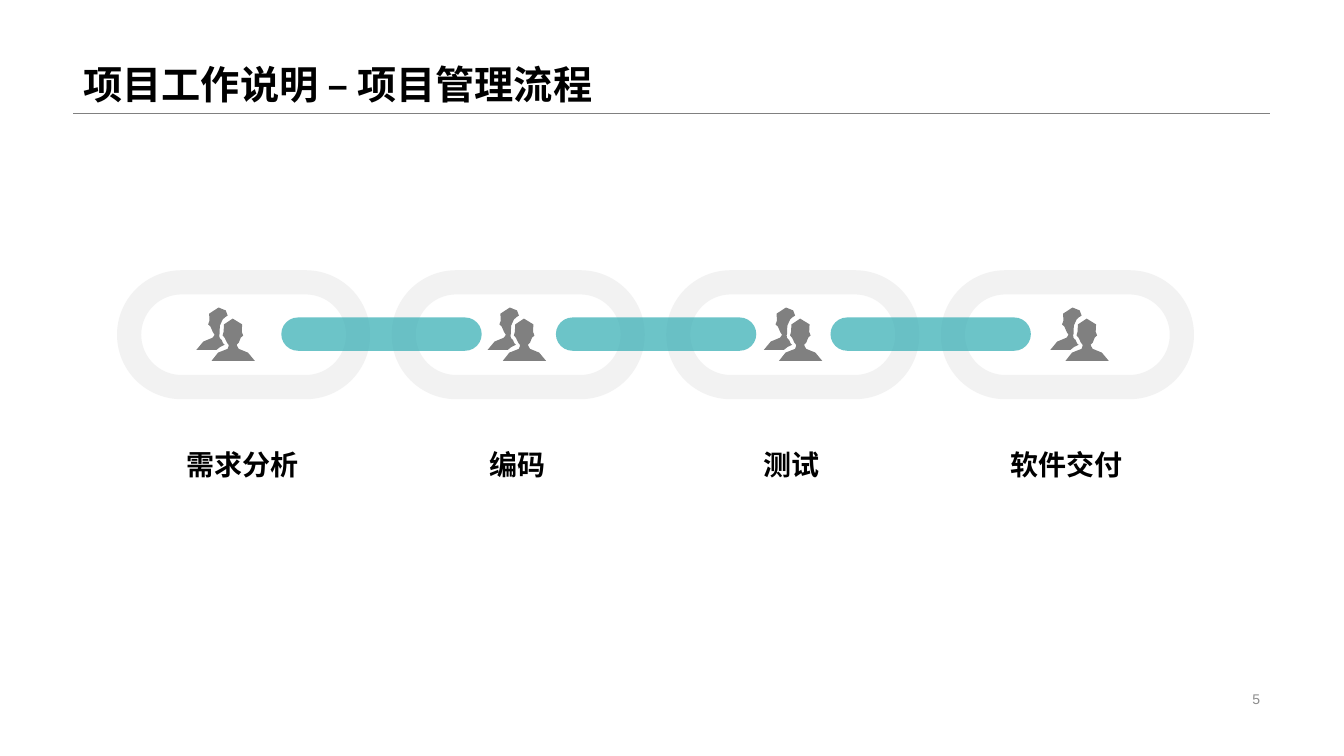
from lxml import etree
from pptx import Presentation
from pptx.dml.color import RGBColor
from pptx.enum.shapes import MSO_CONNECTOR, MSO_SHAPE
from pptx.enum.text import MSO_ANCHOR, MSO_AUTO_SIZE, PP_ALIGN
from pptx.oxml.ns import qn
from pptx.util import Cm, Pt

LINE = MSO_CONNECTOR.STRAIGHT
PILL = MSO_SHAPE.ROUNDED_RECTANGLE
BOTTOM, MIDDLE = MSO_ANCHOR.BOTTOM, MSO_ANCHOR.MIDDLE
LEFT, CENTER, RIGHT = PP_ALIGN.LEFT, PP_ALIGN.CENTER, PP_ALIGN.RIGHT
FIXED = MSO_AUTO_SIZE.NONE
COLORS = {k: RGBColor.from_string(v) for k, v in {
    "text": "000000", "page": "8C8C8C", "rule": "808080",
    "ring": "F2F2F2", "bar": "2FACB2", "icon": "808080"}.items()}

STEPS = ["需求分析", "编码", "测试", "软件交付"]
PITCH = 6.92
RING_X, RING_Y, RING_W, RING_H, RING_T = 2.95, 6.81, 6.38, 3.25, 0.61
ICON_X, ICON_Y = [4.95, 12.29, 19.25, 26.47], 7.75
UNIT = Cm(0.0254)

# Each person: a start point, then Bezier curves, in hundredths of an inch
PEOPLE = [
    ((42, 41), [
        (41, 40, 40, 37, 40, 37), (40, 37, 44, 34, 44, 30),
        (46, 30, 48, 26, 45, 24), (46, 22, 48, 11, 36, 11),
        (25, 11, 27, 22, 27, 24), (25, 26, 26, 30, 28, 30),
        (29, 34, 32, 37, 32, 37), (32, 37, 32, 40, 31, 41),
        (27, 41, 15, 47, 15, 53), (15, 53, 58, 53, 58, 53),
        (58, 47, 45, 41, 42, 41)]),
    ((20, 42), [
        (22, 40, 25, 38, 28, 37), (27, 37, 26, 35, 25, 32),
        (24, 32, 24, 31, 23, 30), (23, 28, 22, 27, 23, 26),
        (23, 25, 23, 24, 23, 23), (23, 21, 23, 15, 26, 12),
        (28, 10, 29, 9, 31, 8), (31, 5, 29, 0, 22, 0),
        (10, 0, 12, 12, 13, 13), (10, 15, 12, 19, 14, 19),
        (15, 23, 18, 27, 18, 27), (18, 27, 17, 29, 16, 30),
        (13, 30, 0, 36, 0, 42)]),
]

prs = Presentation()
prs.slide_width, prs.slide_height = Cm(33.87), Cm(19.05)
slide = prs.slides.add_slide(prs.slide_layouts[5])
shapes = slide.shapes


def write(shape, text, anchor, align, spacing, **style):
    """Fill a text shape with one formatted paragraph."""
    frame = shape.text_frame
    for key, value in {"text": text, "word_wrap": True,
                       "vertical_anchor": anchor, "auto_size": FIXED}.items():
        setattr(frame, key, value)
    para = frame.paragraphs[0]
    para.alignment, para.line_spacing = align, spacing
    font = para.runs[0].font
    font.color.rgb = COLORS[style.pop("color")]
    for key, value in {"name": "Arial", **style}.items():
        setattr(font, key, value)


def add_pill(left, top, width, height):
    """Add a shape with fully round ends and no shadow; lengths in cm."""
    pill = shapes.add_shape(PILL, Cm(left), Cm(top), Cm(width), Cm(height))
    pill.adjustments[0] = 0.5
    pill.shadow.inherit = False
    return pill


# Title, rule and page number
title = shapes.title
for key, value in {"left": 1.85, "top": 0, "width": 30.15, "height": 2.84}.items():
    setattr(title, key, Cm(value))
write(title, "项目工作说明 – 项目管理流程", BOTTOM, LEFT, 0.9,
      size=Pt(28), bold=True, color="text")
rule = shapes.add_connector(LINE, Cm(1.85), Cm(2.85), Cm(32), Cm(2.85))
rule.line.color.rgb = COLORS["rule"]
rule.line.width = Pt(0.25)
etree.SubElement(rule._element.spPr, qn("a:effectLst"))
page = shapes.add_textbox(Cm(23.93), Cm(17.32), Cm(8.08), Cm(0.58))
write(page, "5", MIDDLE, RIGHT, 1.0, size=Pt(10), color="page")

# Chain rings: the thick outline is centred on the shape's edge
for i in range(len(STEPS)):
    ring = add_pill(RING_X + i * PITCH + RING_T / 2, RING_Y + RING_T / 2,
                    RING_W - RING_T, RING_H - RING_T)
    ring.fill.background()
    ring.line.color.rgb = COLORS["ring"]
    ring.line.width = Cm(RING_T)

# Bars that join the rings
for i in range(len(STEPS) - 1):
    bar = add_pill(7.09 + i * PITCH, 8, 5.05, 0.84)
    bar.fill.solid()
    bar.fill.fore_color.rgb = COLORS["bar"]
    bar.line.fill.background()
    tint = bar._element.spPr.find(qn("a:solidFill"))[0]
    etree.SubElement(tint, qn("a:alpha"), val="70000")

# Step names
for i, step in enumerate(STEPS):
    label = shapes.add_textbox(Cm(3.48 + i * PITCH), Cm(11.18), Cm(5.28), Cm(1.07))
    write(label, step, BOTTOM, CENTER, 0.9, size=Pt(20), bold=True, color="text")

# People icons: each curve becomes two straight segments
outlines = []
for (x, y), curves in PEOPLE:
    points = [(x * UNIT, y * UNIT)]
    for x1, y1, x2, y2, x3, y3 in curves:
        points += [((x + 3 * x1 + 3 * x2 + x3) / 8 * UNIT,
                    (y + 3 * y1 + 3 * y2 + y3) / 8 * UNIT),
                   (x3 * UNIT, y3 * UNIT)]
        x, y = x3, y3
    outlines.append(points)
front, back = outlines
for left in ICON_X:
    pen = shapes.build_freeform(*front[0])
    pen.add_line_segments(front[1:], close=True)
    pen.move_to(*back[0])
    pen.add_line_segments(back[1:], close=True)
    icon = pen.convert_to_shape(Cm(left), Cm(ICON_Y))
    icon.shadow.inherit = False
    icon.fill.solid()
    icon.fill.fore_color.rgb = COLORS["icon"]
    icon.line.fill.background()

prs.save("out.pptx")
